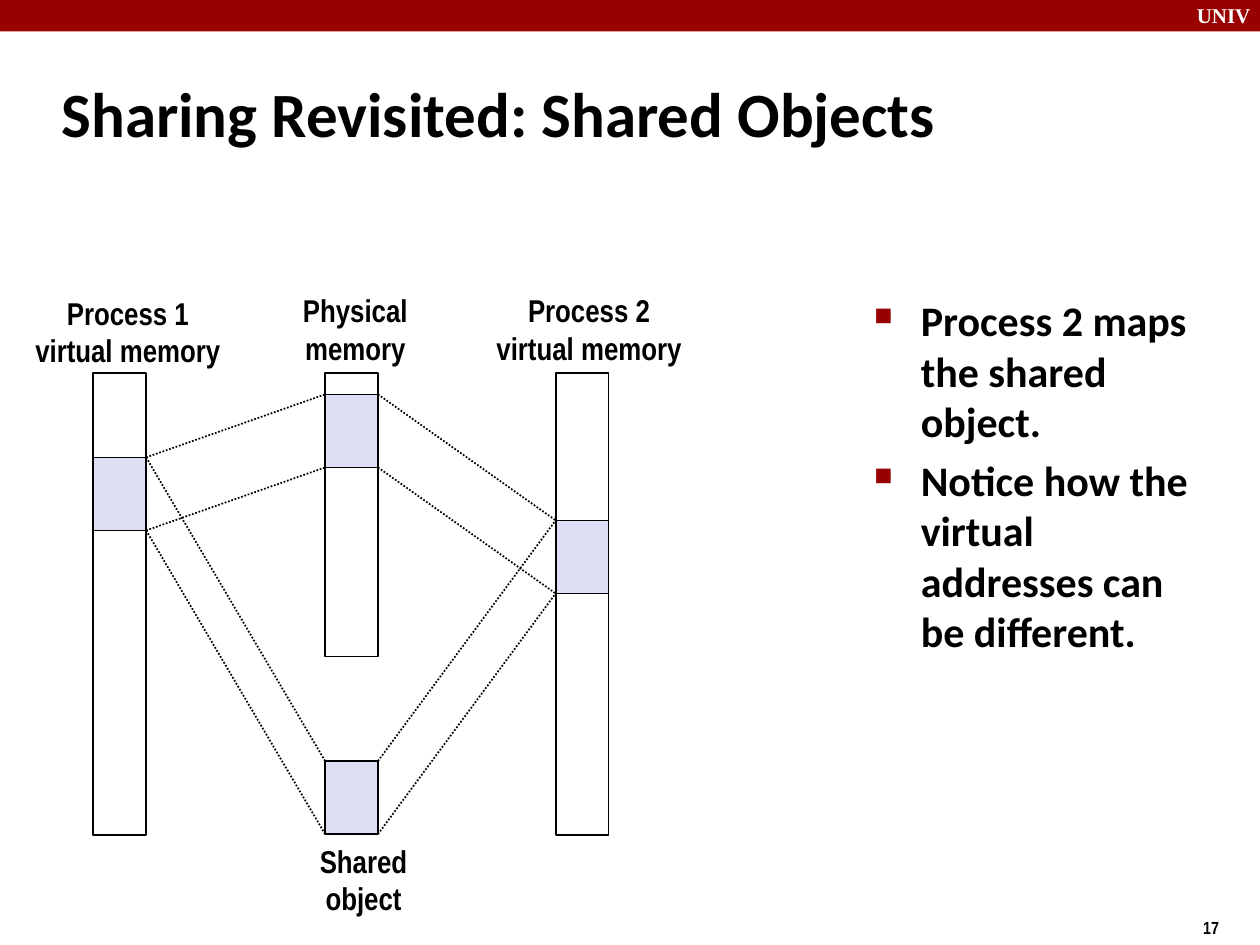
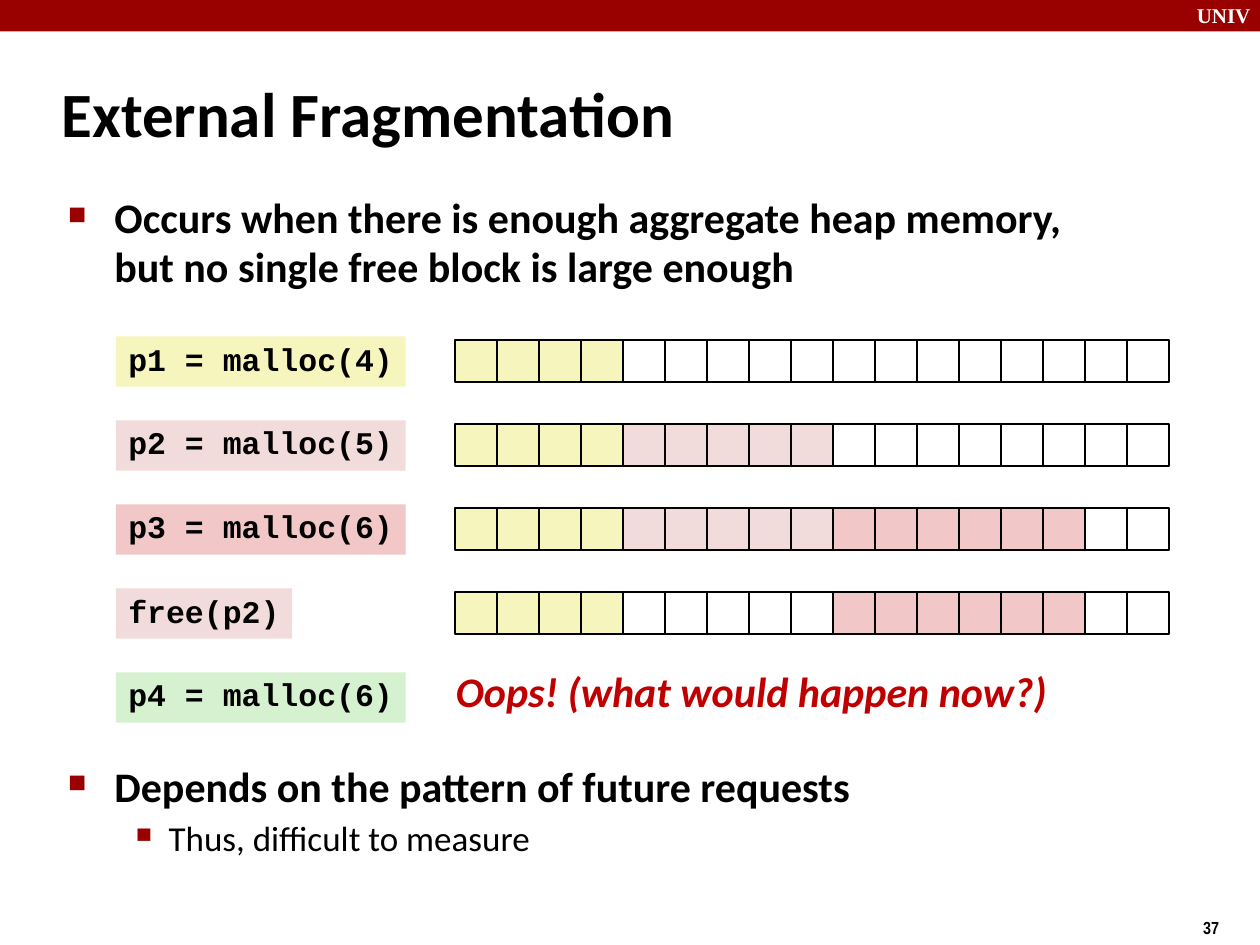
from dataclasses import dataclass
from itertools import repeat
from typing import Any, NamedTuple

from lxml import etree
from pptx import Presentation
from pptx.dml.color import RGBColor
from pptx.enum.dml import MSO_LINE
from pptx.enum.shapes import MSO_CONNECTOR, MSO_SHAPE
from pptx.enum.text import MSO_ANCHOR, PP_ALIGN
from pptx.oxml.ns import qn
from pptx.util import Inches, Pt

RECT = MSO_SHAPE.RECTANGLE
LINE = MSO_CONNECTOR.STRAIGHT
DOT = MSO_LINE.ROUND_DOT
TOP, MIDDLE = MSO_ANCHOR.TOP, MSO_ANCHOR.MIDDLE
LEFT, CENTER = PP_ALIGN.LEFT, PP_ALIGN.CENTER


class Style(NamedTuple):
    face: str
    size: int
    color: str = "000000"
    bold: bool = True
    italic: bool = False


@dataclass(frozen=True)
class Theme:
    red: str = "990000"
    black: str = "000000"
    white: str = "FFFFFF"
    shared: str = "DEDFF5"
    yellow: str = "F6F5BD"
    pink: str = "F2DCDB"
    rose: str = "F1C7C7"
    green: str = "D5F1CF"
    title: Style = Style("Calibri", 36)
    body: Style = Style("Calibri", 24)
    sub: Style = Style("Calibri", 20, bold=False)
    oops: Style = Style("Calibri", 24, "C00000", italic=True)
    label: Style = Style("Arial Narrow", 18)
    page: Style = Style("Arial Narrow", 10)
    band: Style = Style("Times New Roman", 12, "FFFFFF")
    code: Style = Style("Courier New", 18)


THEME = Theme()


class Box(NamedTuple):
    x: float
    y: float
    w: float
    h: float

    def emu(self) -> list[int]:
        return [Inches(v) for v in self]


class Mark(NamedTuple):
    """How a bullet level looks; lengths in inches, scale in percent."""
    sign: str
    scale: int
    left: float
    hang: float
    gap: float
    style: Style


MAIN = Mark("■", 60, 0.38, 0.37, 4.8, THEME.body)
MINOR = Mark("▪", 110, 0.81, 0.31, 4, THEME.sub)


class Point(NamedTuple):
    text: str
    mark: Mark = MAIN
    gap: float | None = None


class Column(NamedTuple):
    """A memory strip with its shared block and caption."""
    block: Box
    strip: Box | None
    label: str
    place: Box


class Step(NamedTuple):
    code: str
    width: float
    color: str
    heap: tuple[tuple[str, int], ...] = ()


def style_run(run: Any, style: Style) -> None:
    values = {"name": style.face, "size": Pt(style.size),
              "bold": style.bold, "italic": style.italic}
    for key, value in values.items():
        setattr(run.font, key, value)
    run.font.color.rgb = RGBColor.from_string(style.color)


def set_frame(shape: Any, anchor: Any = TOP, left: float = 0.1,
              right: float = 0) -> Any:
    frame = shape.text_frame
    values = {"word_wrap": True, "vertical_anchor": anchor,
              "margin_left": Inches(left), "margin_right": Inches(right),
              "margin_top": Inches(0.05), "margin_bottom": Inches(0.05)}
    for key, value in values.items():
        setattr(frame, key, value)
    return frame


def write(shape: Any, text: str, style: Style, align: Any = LEFT,
          anchor: Any = TOP, pitch: float | None = None) -> None:
    """Fill a shape with one paragraph per line of text."""
    frame = set_frame(shape, anchor, 0 if align == CENTER else 0.1)
    for i, line in enumerate(text.split("\n")):
        para = frame.add_paragraph() if i else frame.paragraphs[0]
        para.alignment = align
        para.line_spacing = pitch
        run = para.add_run()
        run.text = line
        style_run(run, style)


def add_text(slide: Any, box: Box, text: str, style: Style,
             align: Any = LEFT, anchor: Any = TOP) -> None:
    write(slide.shapes.add_textbox(*box.emu()), text, style, align, anchor)


def add_rect(slide: Any, box: Box, fill: str | None = None,
             edge: bool = True) -> Any:
    shape = slide.shapes.add_shape(RECT, *box.emu())
    shape.shadow.inherit = False
    if fill:
        shape.fill.solid()
        shape.fill.fore_color.rgb = RGBColor.from_string(fill)
    else:
        shape.fill.background()
    if edge:
        shape.line.color.rgb = RGBColor.from_string(THEME.black)
        shape.line.width = Pt(1)
    else:
        shape.line.fill.background()
    return shape


def add_dots(slide: Any, x1: float, y1: float, x2: float, y2: float) -> None:
    ends = [Inches(v) for v in (x1, y1, x2, y2)]
    line = slide.shapes.add_connector(LINE, *ends)
    line.line.color.rgb = RGBColor.from_string(THEME.black)
    line.line.width = Pt(1)
    line.line.dash_style = DOT
    etree.SubElement(line._element.spPr, qn("a:effectLst"))


def add_mark(para: Any, mark: Mark) -> None:
    props = para._p.get_or_add_pPr()
    props.set("marL", str(Inches(mark.left)))
    props.set("indent", str(-Inches(mark.hang)))
    tint = etree.SubElement(props, qn("a:buClr"))
    etree.SubElement(tint, qn("a:srgbClr"), val=THEME.red)
    etree.SubElement(props, qn("a:buSzPct"), val=str(mark.scale * 1000))
    etree.SubElement(props, qn("a:buChar"), char=mark.sign)


def add_points(slide: Any, box: Box, points: list[Point],
               pitch: float | None = None) -> None:
    frame = set_frame(slide.shapes.add_textbox(*box.emu()), right=0.1)
    for i, point in enumerate(points):
        para = frame.add_paragraph() if i else frame.paragraphs[0]
        para.level = 1 if point.mark is MINOR else 0
        para.line_spacing = pitch
        para.space_before = Pt(point.gap or point.mark.gap)
        add_mark(para, point.mark)
        run = para.add_run()
        run.text = point.text
        style_run(run, point.mark.style)


def new_slide(deck: Any, title: str, page: int) -> Any:
    """Add a slide with the band, page number and title all slides share."""
    slide = deck.slides.add_slide(deck.slide_layouts[6])
    add_rect(slide, Box(0, 0, 10, 0.25), THEME.red, edge=False)
    add_text(slide, Box(9.4, -0.03, 0.67, 0.3), "UNIV", THEME.band)
    add_text(slide, Box(9.45, 7.23, 0.75, 0.29), str(page), THEME.page)
    add_text(slide, Box(0.39, 0.48, 8.3, 0.83), title, THEME.title,
             anchor=MIDDLE)
    return slide


def draw_sharing(deck: Any) -> None:
    slide = new_slide(deck, "Sharing Revisited: Shared Objects", 17)
    wide, high, top = 0.42, 0.58, 2.96
    x1, x2, x3 = 0.74, 2.58, 4.41

    first = Column(Box(x1, 3.63, wide, high), Box(x1, top, wide, 3.67),
                   "Process 1\nvirtual memory", Box(0.18, 2.28, 1.67, 0.7))
    memory = Column(Box(x2, 3.13, wide, high), Box(x2, top, wide, 2.25),
                    "Physical\nmemory", Box(2.31, 2.26, 1.02, 0.7))
    second = Column(Box(x3, 4.13, wide, high), Box(x3, top, wide, 3.67),
                    "Process 2\nvirtual memory", Box(3.84, 2.26, 1.67, 0.7))
    shared = Column(Box(x2, 6.04, wide, high), None,
                    "Shared\nobject", Box(2.44, 6.63, 0.89, 0.7))

    for col in (first, memory, second, shared):
        if col.strip:
            add_rect(slide, col.strip)
        add_rect(slide, col.block, THEME.shared)
        add_text(slide, col.place, col.label, THEME.label, CENTER, MIDDLE)

    for mid in (shared, memory):
        for a, b in ((first.block, mid.block), (mid.block, second.block)):
            for drop in (0, high):
                add_dots(slide, a.x + wide, a.y + drop, b.x, b.y + drop)

    add_points(slide, Box(6.83, 2.29, 2.9, 5.04), [
        Point("Process 2 maps the shared object."),
        Point("Notice how the virtual addresses can be different."),
    ])


def draw_heap(deck: Any) -> None:
    slide = new_slide(deck, "External Fragmentation", 37)
    add_points(slide, Box(0.43, 1.49, 8.6, 5.44), [
        Point("Occurs when there is enough aggregate heap memory, "
              "but no single free block is large enough"),
        Point("Depends on the pattern of future requests", gap=268.5),
        Point("Thus, difficult to measure", MINOR),
    ], pitch=0.98)

    one, two, three = (THEME.yellow, 4), (THEME.pink, 5), (THEME.rose, 6)
    steps = [
        Step("p1 = malloc(4)", 2.3, THEME.yellow, (one, (THEME.white, 13))),
        Step("p2 = malloc(5)", 2.3, THEME.pink,
             (one, two, (THEME.white, 8))),
        Step("p3 = malloc(6)", 2.3, THEME.rose,
             (one, two, three, (THEME.white, 2))),
        Step("free(p2)", 1.4, THEME.pink,
             (one, (THEME.white, 5), three, (THEME.white, 2))),
        Step("p4 = malloc(6)", 2.3, THEME.green),
    ]
    cell = 1 / 3
    for row, step in enumerate(steps):
        y = 2.67 + row * 2 * cell
        tag = add_rect(slide, Box(0.92, y, step.width, 0.4), step.color,
                       edge=False)
        write(tag, step.code, THEME.code, pitch=0.94)
        fills = [c for run in step.heap for c in repeat(*run)]
        for i, fill in enumerate(fills):
            add_rect(slide, Box(3.61 + i * cell, y + 0.03, cell, cell), fill)

    add_text(slide, Box(3.52, 5.23, 4.89, 0.5),
             "Oops! (what would happen now?)", THEME.oops)


def main() -> None:
    deck = Presentation()
    deck.slide_width, deck.slide_height = Inches(10), Inches(7.5)
    draw_sharing(deck)
    draw_heap(deck)
    deck.save("out.pptx")


if __name__ == "__main__":
    main()
